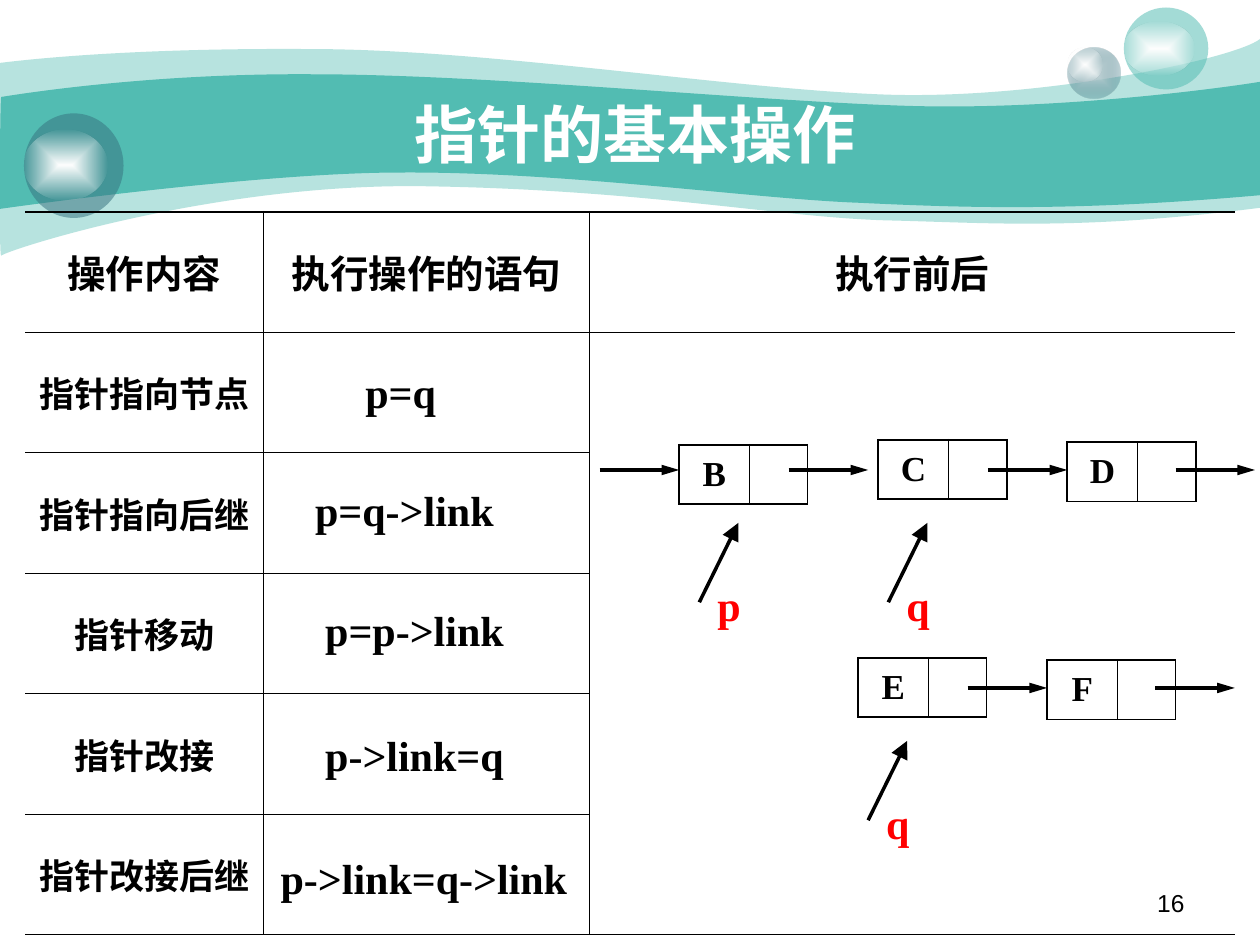
import pptx
import pptx.dml.color
import pptx.enum.shapes
import pptx.enum.text
import pptx.oxml
import pptx.oxml.ns
import pptx.util
from lxml import etree

PX = 9144  # EMU per px, 100 px to the inch
RGB = pptx.dml.color.RGBColor
TEAL, SLATE, MIST = RGB(0x52, 0xBC, 0xB2), RGB(0x37, 0x73, 0x7F), RGB(0xCC, 0xDB, 0xDE)
WHITE, BLACK, RED = RGB(255, 255, 255), RGB(0, 0, 0), RGB(255, 0, 0)
ALIGN = pptx.enum.text.PP_ALIGN
ANCHOR = pptx.enum.text.MSO_ANCHOR
FIT = pptx.enum.text.MSO_AUTO_SIZE
SERIF, CJK = "Times New Roman", "Noto Sans CJK SC"
HAIR, THICK = 0.45, 1.08
qn = pptx.oxml.ns.qn


def font_format(size, color=BLACK, name=SERIF, bold=True):
    return {"size": pptx.util.Pt(size), "name": name, "bold": bold, "color": color}


TITLE = font_format(36, WHITE)
HEADING = font_format(22)
OPERATION = font_format(20, name=CJK)
NODE = font_format(20)
CODE = font_format(24)
POINTER = font_format(24, RED)
PAGE_NUMBER = font_format(14, name="Arial", bold=False)


def px(*lengths):
    return [length * PX for length in lengths]


def write(frame, text, font_values, align=ALIGN.CENTER):
    paragraph = frame.paragraphs[0]
    paragraph.alignment = align
    run = paragraph.add_run()
    run.text = text
    for attribute, value in font_values.items():
        if attribute == "color":
            run.font.color.rgb = value
        else:
            setattr(run.font, attribute, value)
    etree.SubElement(run.font._element, qn("a:ea"), typeface=CJK)


def add_label(slide, box, text, font_values, align=ALIGN.CENTER, wrap=True, fit=FIT.SHAPE_TO_FIT_TEXT):
    frame = slide.shapes.add_textbox(*px(*box)).text_frame
    frame.word_wrap = wrap
    frame.auto_size = fit
    write(frame, text, font_values, align)


def set_alpha(shape, percent):
    color = shape.fill._xPr.find(".//" + qn("a:srgbClr"))
    etree.SubElement(color, qn("a:alpha"), val=str(percent * 1000))


def add_wave(slide, start, segments, alpha):
    """Closed band outline; a segment is a line end or the three points of a curve."""
    builder = slide.shapes.build_freeform(*start, scale=PX)
    builder.add_line_segments([point for segment in segments for point in zip(segment[::2], segment[1::2])])
    wave = builder.convert_to_shape()
    steps = iter(wave._element.findall(".//" + qn("a:lnTo")))
    for segment in segments:
        knots = [next(steps) for _ in segment[::2]]
        if len(knots) == 3:
            curve = etree.Element(qn("a:cubicBezTo"))
            knots[0].addprevious(curve)
            for knot in knots:
                curve.append(knot[0])
                knot.getparent().remove(knot)
    etree.SubElement(wave._element.find(".//" + qn("a:path")), qn("a:close"))
    wave.shadow.inherit = False
    wave.fill.solid()
    wave.fill.fore_color.rgb = TEAL
    set_alpha(wave, alpha)
    wave.line.fill.background()


def add_ball(slide, box, color, alpha, center=None):
    """Ellipse in one colour, or glowing from a centre colour."""
    ball = slide.shapes.add_shape(pptx.enum.shapes.MSO_SHAPE.OVAL, *px(*box))
    ball.shadow.inherit = False
    ball.line.fill.background()
    if center is None:
        ball.fill.solid()
        ball.fill.fore_color.rgb = color
        set_alpha(ball, alpha)
        return
    ball.fill.background()
    properties = ball._element.spPr
    glow = pptx.oxml.parse_xml(
        f'<a:gradFill {pptx.oxml.ns.nsdecls("a")} rotWithShape="1"><a:gsLst>'
        f'<a:gs pos="0"><a:srgbClr val="{center}"/></a:gs>'
        f'<a:gs pos="100000"><a:srgbClr val="{color}"><a:alpha val="{alpha * 1000}"/></a:srgbClr></a:gs>'
        '</a:gsLst><a:path path="rect"><a:fillToRect l="50000" t="50000" r="50000" b="50000"/>'
        '</a:path></a:gradFill>')
    properties.replace(properties.find(qn("a:noFill")), glow)


def set_borders(cell, left, right, top, bottom):
    properties = cell._tc.get_or_add_tcPr()
    for index, (side, width) in enumerate(zip("LRTB", (left, right, top, bottom))):
        border = etree.Element(qn(f"a:ln{side}"), w=str(int(pptx.util.Pt(width))))
        if width:
            fill = etree.SubElement(border, qn("a:solidFill"))
            etree.SubElement(fill, qn("a:srgbClr"), val=str(BLACK))
        else:
            etree.SubElement(border, qn("a:noFill"))
        properties.insert(index, border)


def add_grid(slide, box, widths, rows, formats, side):
    """Unfilled table: thick top and bottom, hairlines inside, given width at the sides."""
    table = slide.shapes.add_table(len(rows), len(widths), *px(*box)).table
    table.first_row = table.horz_banding = False
    for column, width in zip(table.columns, widths):
        column.width = width * PX
    last_row, last_column = len(rows) - 1, len(widths) - 1
    for r, texts in enumerate(rows):
        for c, text in enumerate(texts):
            cell = table.cell(r, c)
            cell.vertical_anchor = ANCHOR.MIDDLE
            cell.fill.background()
            set_borders(cell, HAIR if c else side, HAIR if c < last_column else side,
                        HAIR if r else THICK, HAIR if r < last_row else THICK)
            if text:
                write(cell.text_frame, text, formats[r])
    return table


def add_arrow(slide, start, end, head_width):
    arrow = slide.shapes.add_connector(
        pptx.enum.shapes.MSO_CONNECTOR.STRAIGHT, *px(*start, *end))
    arrow.line.width = pptx.util.Pt(2)
    arrow.line.color.rgb = BLACK
    etree.SubElement(arrow.line._get_or_add_ln(), qn("a:tailEnd"), type="triangle", w=head_width, len="lg")
    etree.SubElement(arrow._element.spPr, qn("a:effectLst"))


def add_link(slide, x, y):
    add_arrow(slide, (x, y), (x + 63, y), "med")


def add_node(slide, x, y, name):
    add_grid(slide, (x, y, 102, 47), (56, 46), [(name, "")], [NODE], THICK)


def add_pointer(slide, x, y, name):
    add_arrow(slide, (x, y), (x + 31, y - 63), "lg")
    add_label(slide, (x - 16, y - 23, 79, 50), name, POINTER)


def add_backdrop(slide):
    add_wave(slide, (0, 50), [
        (24, 47, 107, 38, 247, 39), (386, 39, 575, 70, 699, 75), (822, 80, 980, 47, 1000, 31),
        (1000, 165), (858, 183, 787, 177, 705, 175), (622, 173, 515, 151, 343, 148),
        (172, 144, 4, 199, 1, 203), (-1, 208, 0, 75, 0, 50)], 41)
    add_wave(slide, (1, 77), [
        (2, 77, 110, 58, 248, 59), (386, 59, 595, 80, 718, 84), (841, 88, 976, 69, 1000, 65),
        (1000, 155), (853, 168, 765, 165, 682, 161), (599, 158, 447, 136, 317, 137),
        (203, 137, -2, 166, -1, 166), (0, 166, 0, 77, 1, 77)], 100)
    add_ball(slide, (847, 38, 42, 40), SLATE, 31, MIST)
    add_ball(slide, (847, 38, 28, 27), WHITE, 0, WHITE)
    add_ball(slide, (892, 6, 67, 65), TEAL, 53)
    add_ball(slide, (892, 17, 56, 43), WHITE, 0, WHITE)
    add_ball(slide, (19, 90, 79, 83), SLATE, 53)
    add_ball(slide, (19, 103, 66, 56), WHITE, 0, WHITE)


def add_title(slide, text):
    title = slide.shapes.title
    slide.shapes._spTree.append(title._element)  # in front of the backdrop
    for attribute, value in zip(("left", "top", "width", "height"), px(100, 75, 808, 62)):
        setattr(title, attribute, value)
    title.text_frame.auto_size = FIT.NONE
    title.text_frame.vertical_anchor = ANCHOR.MIDDLE
    write(title.text_frame, text, TITLE)


def main():
    deck = pptx.Presentation()
    deck.slide_width, deck.slide_height = px(1000, 750)
    slide = deck.slides.add_slide(deck.slide_layouts[5])
    add_backdrop(slide)
    add_label(slide, (717, 700, 233, 35), "16", PAGE_NUMBER, ALIGN.RIGHT, fit=FIT.NONE)
    add_title(slide, "指针的基本操作")

    # Operations, with one tall cell for the diagram
    operations = ("指针指向节点", "指针指向后继", "指针移动", "指针改接", "指针改接后继")
    rows = [("操作内容", "执行操作的语句", "执行前后")] + [(name, "", "") for name in operations]
    table = add_grid(slide, (20, 168, 960, 574), (189, 259, 512), rows, [HEADING] + [OPERATION] * 5, 0)
    table.cell(1, 2).merge(table.cell(5, 2))

    # Statements
    for x, y, width, code in ((279, 286, 78, "p=q"), (239, 380, 164, "p=q->link"),
                              (247, 475, 164, "p=p->link"), (247, 574, 164, "p->link=q"),
                              (211, 672, 251, "p->link=q->link")):
        add_label(slide, (x, y, width, 50), code, CODE, wrap=False)

    # Linked lists and their pointers
    for x, y, name in ((539, 353, "B"), (697, 349, "C"), (847, 351, "D"), (681, 522, "E"), (831, 524, "F")):
        add_node(slide, x, y, name)
    for y, starts in ((373, (476, 626, 784, 933)), (546, (768, 917))):
        for x in starts:
            add_link(slide, x, y)
    for x, y, name in ((555, 478, "p"), (705, 478, "q"), (689, 651, "q")):
        add_pointer(slide, x, y, name)
    deck.save("out.pptx")


if __name__ == "__main__":
    main()
